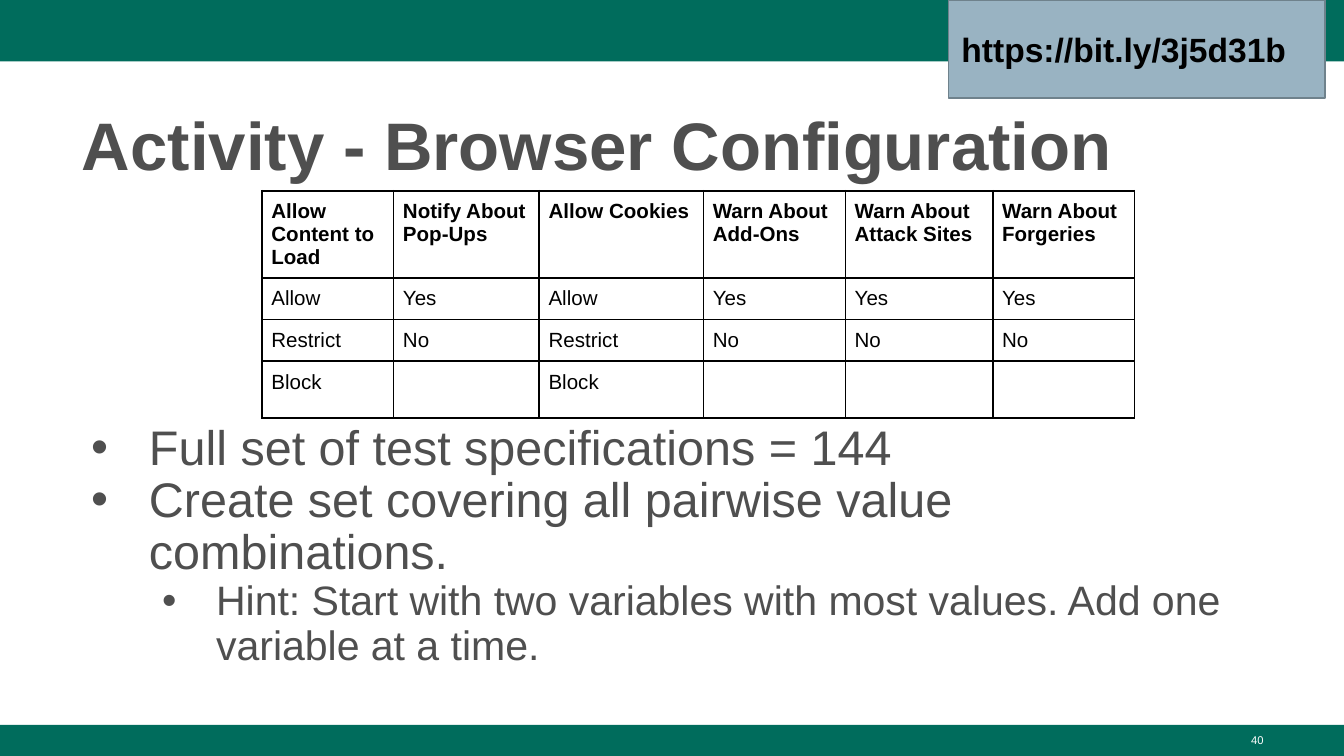
from lxml.etree import SubElement
from pptx import Presentation
from pptx.dml.color import RGBColor
from pptx.enum.shapes import MSO_SHAPE
from pptx.enum.text import MSO_ANCHOR, MSO_AUTO_SIZE, PP_ALIGN
from pptx.oxml.ns import qn
from pptx.util import Pt

COLORS = {"green": "006C5C", "gray": "4F4F4F", "black": "000000", "white": "FFFFFF",
          "link_fill": "99B3C2", "link_line": "6F828C"}
FONT = "Arial"
WIDTH, HEIGHT = 720, 405

TITLE = "Activity - Browser Configuration"
LINK = "https://bit.ly/3j5d31b"
PAGE_NUMBER = "40"
OPTIONS = [
    ("Allow Content to Load", ["Allow", "Restrict", "Block"]),
    ("Notify About Pop-Ups", ["Yes", "No"]),
    ("Allow Cookies", ["Allow", "Restrict", "Block"]),
    ("Warn About Add-Ons", ["Yes", "No"]),
    ("Warn About Attack Sites", ["Yes", "No"]),
    ("Warn About Forgeries", ["Yes", "No"]),
]
COLUMN_WIDTHS = [70.5, 78, 88, 76, 79, 76]
ROW_HEIGHTS = [46.7, 22.3, 22.3, 30.4]
BULLETS = [
    (0, "Full set of test specifications = 144"),
    (0, "Create set covering all pairwise value combinations."),
    (1, "Hint: Start with two variables with most values. Add one variable at a time."),
]
BULLET_LEVELS = [{"size": 26, "margin": 36, "hanging": 31},
                 {"size": 22, "margin": 72, "hanging": 29}]


def color(name):
    """Return the named palette colour."""
    return RGBColor.from_string(COLORS[name])


def style(font, size, color_name, bold=False):
    """Set the face, size, colour and weight of a font."""
    font.name, font.size, font.bold = FONT, Pt(size), bold
    font.color.rgb = color(color_name)


def add_run(paragraph, text, size, color_name, bold=False):
    """Append one styled run."""
    run = paragraph.add_run()
    run.text = text
    style(run.font, size, color_name, bold)


def prepare_frame(frame, anchor, inset_x=7.2, inset_y=3.6):
    """Make a text frame wrap at a fixed size with the given insets."""
    frame.word_wrap = True
    frame.auto_size = MSO_AUTO_SIZE.NONE
    frame.vertical_anchor = anchor
    frame.margin_left = frame.margin_right = Pt(inset_x)
    frame.margin_top = frame.margin_bottom = Pt(inset_y)
    return frame.paragraphs[0]


def add_rectangle(slide, box, fill, line=None):
    """Add a flat rectangle."""
    shape = slide.shapes.add_shape(MSO_SHAPE.RECTANGLE, *map(Pt, box))
    shape.shadow.inherit = False
    shape.fill.solid()
    shape.fill.fore_color.rgb = color(fill)
    if line:
        shape.line.color.rgb = color(line)
        shape.line.width = Pt(0.75)
    else:
        shape.line.fill.background()
    return shape


def add_title(slide):
    """Place and fill the title placeholder."""
    title = slide.shapes.title
    title.left, title.top, title.width, title.height = map(Pt, (36.7, 48.2, 647.3, 52.6))
    paragraph = prepare_frame(title.text_frame, MSO_ANCHOR.TOP)
    paragraph.alignment = PP_ALIGN.LEFT
    paragraph.line_spacing = 1.08
    add_run(paragraph, TITLE, 36, "gray", True)


def add_bullets(slide):
    """Add the bulleted text below the table."""
    frame = slide.shapes.add_textbox(*map(Pt, (36.7, 223.2, 647.3, 151.2))).text_frame
    paragraph = prepare_frame(frame, MSO_ANCHOR.TOP)
    for index, (level, text) in enumerate(BULLETS):
        if index:
            paragraph = frame.add_paragraph()
        look = BULLET_LEVELS[level]
        paragraph.level = level
        paragraph.line_spacing = 0.9
        properties = paragraph._p.get_or_add_pPr()
        properties.set("marL", str(Pt(look["margin"])))
        properties.set("indent", str(-Pt(look["hanging"])))
        bullet_color = SubElement(properties, qn("a:buClr"))
        SubElement(bullet_color, qn("a:srgbClr"), val=COLORS["gray"])
        SubElement(properties, qn("a:buFont"), typeface=FONT)
        SubElement(properties, qn("a:buChar"), char="•")
        add_run(paragraph, text, look["size"], "gray")


def add_borders(cell):
    """Draw a thin black line on each side of a cell."""
    properties = cell._tc.get_or_add_tcPr()
    for position, side in enumerate(("a:lnL", "a:lnR", "a:lnT", "a:lnB")):
        line = properties.makeelement(qn(side), {"w": str(Pt(1))})
        fill = SubElement(line, qn("a:solidFill"))
        SubElement(fill, qn("a:srgbClr"), val=COLORS["black"])
        properties.insert(position, line)


def add_options_table(slide):
    """Add the table of browser options and their values."""
    frame = slide.shapes.add_table(len(ROW_HEIGHTS), len(OPTIONS), Pt(140.4), Pt(102.2),
                                   Pt(sum(COLUMN_WIDTHS)), Pt(sum(ROW_HEIGHTS)))
    table = frame.table
    table.first_row = table.horz_banding = False
    for row, height in zip(table.rows, ROW_HEIGHTS):
        row.height = Pt(height)
    for column, (name, values) in enumerate(OPTIONS):
        table.columns[column].width = Pt(COLUMN_WIDTHS[column])
        texts = [name] + values
        for row in range(len(ROW_HEIGHTS)):
            cell = table.cell(row, column)
            cell.margin_left = cell.margin_right = Pt(5)
            cell.margin_top = cell.margin_bottom = Pt(5)
            cell.fill.background()
            add_borders(cell)
            paragraph = cell.text_frame.paragraphs[0]
            if row < len(texts):
                add_run(paragraph, texts[row], 11, "black", row == 0)
            else:
                style(paragraph.font, 11, "black")


def main():
    """Build the slide and save it."""
    presentation = Presentation()
    presentation.slide_width, presentation.slide_height = Pt(WIDTH), Pt(HEIGHT)
    slide = presentation.slides.add_slide(presentation.slide_layouts[5])
    add_rectangle(slide, (0, 0, WIDTH, 33), "green")
    add_rectangle(slide, (0, 388.3, WIDTH, HEIGHT - 388.3), "green")
    number = slide.shapes.add_textbox(*map(Pt, (516.2, 388.3, 167.8, 16.7)))
    paragraph = prepare_frame(number.text_frame, MSO_ANCHOR.MIDDLE)
    paragraph.alignment = PP_ALIGN.RIGHT
    add_run(paragraph, PAGE_NUMBER, 6, "white")
    add_title(slide)
    add_bullets(slide)
    add_options_table(slide)
    link = add_rectangle(slide, (508, 0, 201.8, 52.6), "link_fill", "link_line")
    paragraph = prepare_frame(link.text_frame, MSO_ANCHOR.MIDDLE, 7.2, 7.2)
    paragraph.alignment = PP_ALIGN.LEFT
    add_run(paragraph, LINK, 18, "black", True)
    presentation.save("out.pptx")


if __name__ == "__main__":
    main()
